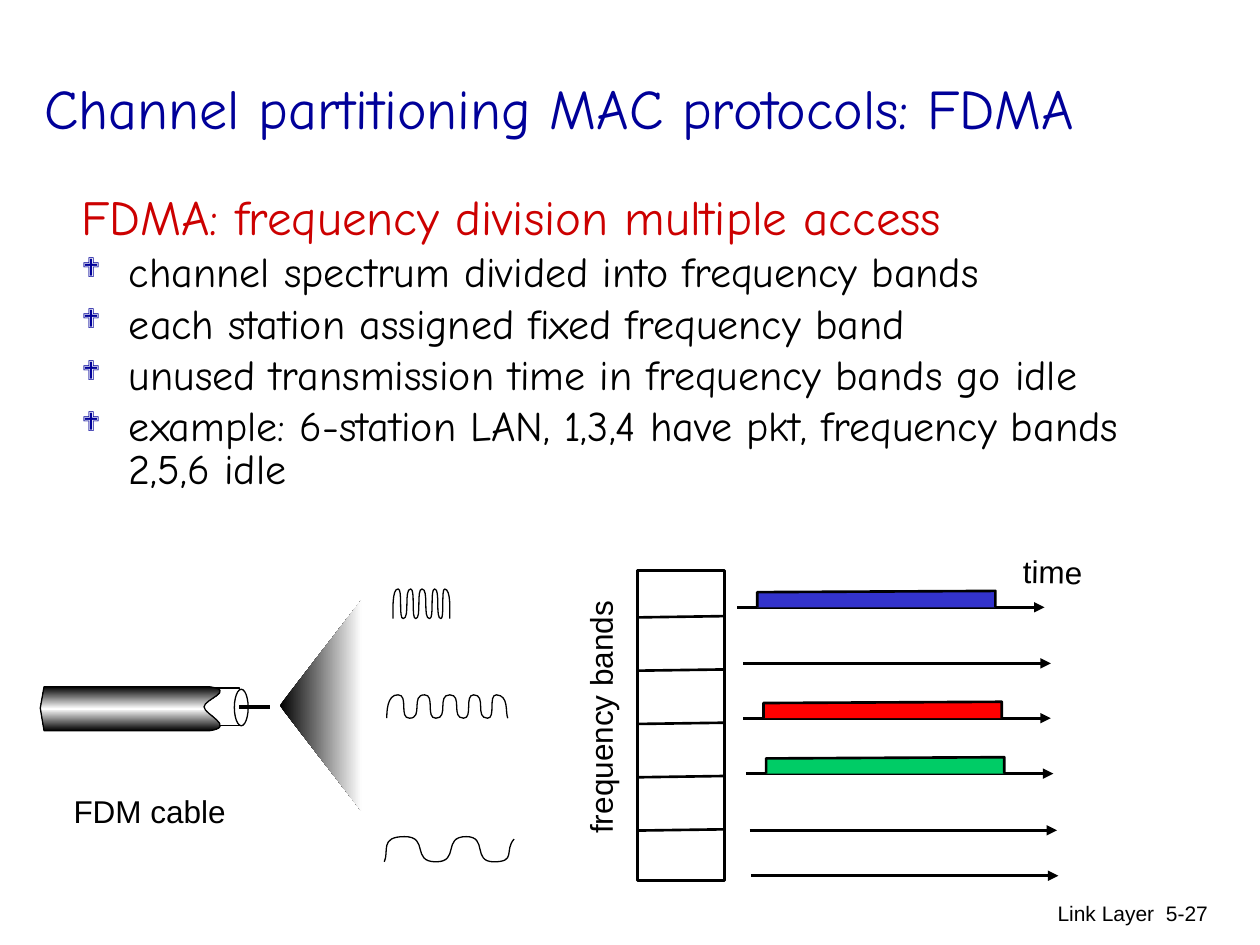
from dataclasses import dataclass
from typing import Optional

import lxml.etree
import pptx
import pptx.dml.color
import pptx.enum.shapes
import pptx.enum.text
import pptx.oxml.ns
import pptx.util

SHAPE = pptx.enum.shapes.MSO_SHAPE
ALIGN = pptx.enum.text.PP_ALIGN
ANCHOR = pptx.enum.text.MSO_ANCHOR
qn = pptx.oxml.ns.qn
Point = tuple[float, float]
Segment = list[Point]  # one point is a straight line, three are a cubic curve

# The slide is a grid of 100 columns by 75 rows with square cells
COLUMNS, ROWS = 100, 75
CELL = pptx.util.Inches(10) // COLUMNS
COLORS = {
    "ink": "000000", "paper": "FFFFFF", "title": "000099", "heading": "CC0000",
    "blue": "3333CC", "red": "FF0000", "green": "00CC66",
}


@dataclass
class Label:
    text: str
    col: float
    row: float
    cols: float
    rows: float
    size: int = 18
    font: str = "Arial"
    color: str = "ink"
    align: ALIGN = ALIGN.LEFT
    anchor: ANCHOR = ANCHOR.TOP
    wrap: bool = False
    rotation: float = 0


@dataclass
class Channel:
    col: float
    row: float
    packet: Optional[str] = None


@dataclass
class Wave:
    crest: float
    trough: float
    knots: list[float]
    end_row: float
    rise: list[Point]  # control points of the first swing
    fall: list[Point]  # control points of the last swing
    pull: float = 0.95  # share of a swing that its level ends reach over


LABELS = [
    Label("Channel partitioning MAC protocols: FDMA", 2.55, 2.25, 94.4, 12.5, 32,
          "Comic Neue", "title", anchor=ANCHOR.MIDDLE, wrap=True),
    Label("Link Layer", 60.9, 70.95, 31.7, 5, 12, align=ALIGN.RIGHT, wrap=True),
    Label("5-27", 89.45, 70.95, 7.4, 5, 12, align=ALIGN.RIGHT, wrap=True),
    Label("frequency bands", 37.4, 54.9, 20.5, 4, rotation=270),
    Label("time", 80.2, 43.35, 6.7, 4, rotation=1.1),
    Label("FDM cable", 4.85, 62.35, 14.1, 4),
]
HEADING = "FDMA: frequency division multiple access"
BULLETS = [
    "channel spectrum divided into frequency bands",
    "each station assigned fixed frequency band",
    "unused transmission time in frequency bands go idle",
    "example: 6-station LAN, 1,3,4 have pkt, frequency bands 2,5,6 idle",
]
CHANNELS = [
    Channel(58.5, 48.2, "blue"), Channel(59, 52.65), Channel(59, 57, "red"),
    Channel(59.2, 61.4, "green"), Channel(59.5, 65.9), Channel(59.6, 69.5),
]
WAVES = [
    Wave(46.75, 49.1, [31.2, 31.6, 32, 32.6, 33, 33.5, 34.1, 34.5, 35, 35.3, 35.7], 49.1,
         [(31.2, 48.6), (31.1, 46.7)], [(35.8, 46.8), (35.7, 48.4)]),
    Wave(55.15, 57, [30.7, 31.6, 32.5, 33.7, 34.6, 35.7, 36.8, 37.6, 38.7, 39.4, 40.3], 57,
         [(30.7, 56.6), (30.7, 55.1)], [(40.4, 55.2), (40.1, 56.5)]),
    Wave(66.4, 68.4, [30.5, 32.1, 34.6, 37, 39.2, 40.8], 66.6,
         [(30.9, 67.6), (30.1, 66.4)], [(41, 68.4), (40, 67.5)], 0.8),
]


def rgb(name: str) -> pptx.dml.color.RGBColor:
    return pptx.dml.color.RGBColor.from_string(COLORS[name])


def cells(*counts: float) -> list[int]:
    return [round(count * CELL) for count in counts]


def paint(shape, fill: Optional[str], width: Optional[float]) -> None:
    shape.shadow.inherit = False
    if fill:
        shape.fill.solid()
        shape.fill.fore_color.rgb = rgb(fill)
    else:
        shape.fill.background()
    if width:
        shape.line.color.rgb = rgb("ink")
        shape.line.width = pptx.util.Pt(width)
    else:
        shape.line.fill.background()


def shade(shape, angle: int, names: list[str]) -> None:
    """Fill with evenly spaced gradient stops."""
    shape.fill.gradient()
    shape.fill.gradient_angle = angle
    stops = shape._element.spPr.find(qn("a:gradFill")).find(qn("a:gsLst"))
    for stop in list(stops):
        stops.remove(stop)
    for index, name in enumerate(names):
        position = str(100000 * index // (len(names) - 1))
        stop = lxml.etree.SubElement(stops, qn("a:gs"), pos=position)
        lxml.etree.SubElement(stop, qn("a:srgbClr"), val=COLORS[name])


def add_outline(slide, start: Point, segments: list[Segment], fill: Optional[str] = None,
                width: Optional[float] = None, close: bool = False):
    builder = slide.shapes.build_freeform(*cells(*start))
    builder.add_line_segments([cells(*point) for segment in segments for point in segment],
                              close=close)
    shape = builder.convert_to_shape()
    # Join the three points of each curve into one cubic step
    steps = iter(list(shape._element.iter(qn("a:lnTo"))))
    for segment in segments:
        group = [next(steps) for _ in segment]
        if len(group) == 3:
            cubic = lxml.etree.Element(qn("a:cubicBezTo"))
            group[0].addprevious(cubic)
            for step in group:
                cubic.append(step[0])
                step.getparent().remove(step)
    paint(shape, fill, width)
    return shape


def add_box(slide, kind: SHAPE, col: float, row: float, cols: float, rows: float,
            width: float) -> None:
    paint(slide.shapes.add_shape(kind, *cells(col, row, cols, rows)), "paper", width)


def add_line(slide, start: Point, end: Point, width: float = 1.5,
             arrow: bool = False) -> None:
    line = slide.shapes.add_connector(
        pptx.enum.shapes.MSO_CONNECTOR.STRAIGHT, *cells(*start, *end))
    line.line.color.rgb = rgb("ink")
    line.line.width = pptx.util.Pt(width)
    properties = line._element.spPr
    if arrow:
        lxml.etree.SubElement(properties.find(qn("a:ln")), qn("a:tailEnd"), type="triangle")
    lxml.etree.SubElement(properties, qn("a:effectLst"))


def set_font(paragraph, name: str, size: int, color: str) -> None:
    paragraph.font.name = name
    paragraph.font.size = pptx.util.Pt(size)
    paragraph.font.color.rgb = rgb(color)


def add_label(slide, label: Label) -> None:
    box = slide.shapes.add_textbox(*cells(label.col, label.row, label.cols, label.rows))
    box.rotation = label.rotation
    box.text_frame.word_wrap = label.wrap
    box.text_frame.vertical_anchor = label.anchor
    paragraph = box.text_frame.paragraphs[0]
    paragraph.text = label.text
    paragraph.alignment = label.align
    set_font(paragraph, label.font, label.size, label.color)


def add_body(slide) -> None:
    frame = slide.shapes.add_textbox(*cells(5.5, 15, 89.9, 50.8)).text_frame
    frame.word_wrap = True
    indent = cells(3.75)[0]
    for index, text in enumerate([HEADING, *BULLETS]):
        line = frame.add_paragraph() if index else frame.paragraphs[0]
        line.text = text
        line.line_spacing = 0.85
        properties = line._p.get_or_add_pPr()
        properties.set("marL", str(indent))
        properties.set("indent", str(-indent))
        if index:
            line.space_before = pptx.util.Pt(4.8)
            color = lxml.etree.SubElement(properties, qn("a:buClr"))
            lxml.etree.SubElement(color, qn("a:srgbClr"), val=COLORS["title"])
            lxml.etree.SubElement(properties, qn("a:buSzPct"), val="65000")
            lxml.etree.SubElement(properties, qn("a:buFont"), typeface="Wingdings")
            lxml.etree.SubElement(properties, qn("a:buChar"), char="❖")
        set_font(line, "Comic Neue", 24 if index else 28, "ink" if index else "heading")


def add_bands(slide) -> None:
    add_box(slide, SHAPE.RECTANGLE, 50.6, 45.3, 6.9, 24.6, 1.5)
    for index in range(len(CHANNELS) - 1):
        row = 49 + 4.23 * index
        add_line(slide, (50.6, row), (57.5, row - 0.1))


def add_channel(slide, channel: Channel) -> None:
    add_line(slide, (channel.col, channel.row), (channel.col + 24.4, channel.row), arrow=True)
    if channel.packet:
        left, right = channel.col + 1.6, channel.col + 20.5
        add_outline(slide, (left, channel.row), [
            [(left, channel.row - 1.2)], [(right, channel.row - 1.3)], [(right, channel.row)],
        ], channel.packet, 1.5)


def add_wave(slide, wave: Wave) -> None:
    knots = [(col, wave.crest if index % 2 else wave.trough)
             for index, col in enumerate(wave.knots)]
    knots[-1] = (wave.knots[-1], wave.end_row)
    swings = []
    for a, b in zip(knots, knots[1:]):
        reach = wave.pull * (b[0] - a[0])
        swings.append([(a[0] + reach, a[1]), (b[0] - reach, b[1]), b])
    swings[0][:2], swings[-1][:2] = wave.rise, wave.fall
    add_outline(slide, knots[0], swings, width=0.75)


def add_cable(slide) -> None:
    cone = add_outline(slide, (28.7, 47.6), [[(22.2, 56)], [(28.7, 64.4)]], close=True)
    shade(cone, 0, ["ink", "paper"])
    add_box(slide, SHAPE.RECTANGLE, 16.1, 54.6, 2.9, 3, 0.75)
    jacket = add_outline(slide, (3.5, 54.5), [
        [(3.2, 56.2)], [(3.5, 58)], [(16.6, 58)],
        [(18.8, 57.7), (16.2, 56.7), (16.2, 56.1)],
        [(16.2, 55.5), (18.8, 54.8), (16.6, 54.5)],
    ], width=0.75, close=True)
    shade(jacket, 90, ["ink", "paper", "ink"])
    add_box(slide, SHAPE.OVAL, 18.6, 54.7, 1.1, 2.9, 0.75)
    add_line(slide, (19, 56.1), (21.4, 56.1), 2.25)


def main() -> None:
    deck = pptx.Presentation()
    deck.slide_width, deck.slide_height = cells(COLUMNS, ROWS)
    slide = deck.slides.add_slide(deck.slide_layouts[6])
    # Text
    add_body(slide)
    for label in LABELS:
        add_label(slide, label)
    # Frequency bands over time
    add_bands(slide)
    for channel in CHANNELS:
        add_channel(slide, channel)
    # Cable and its carrier waves
    add_cable(slide)
    for wave in WAVES:
        add_wave(slide, wave)
    deck.save("out.pptx")


if __name__ == "__main__":
    main()
